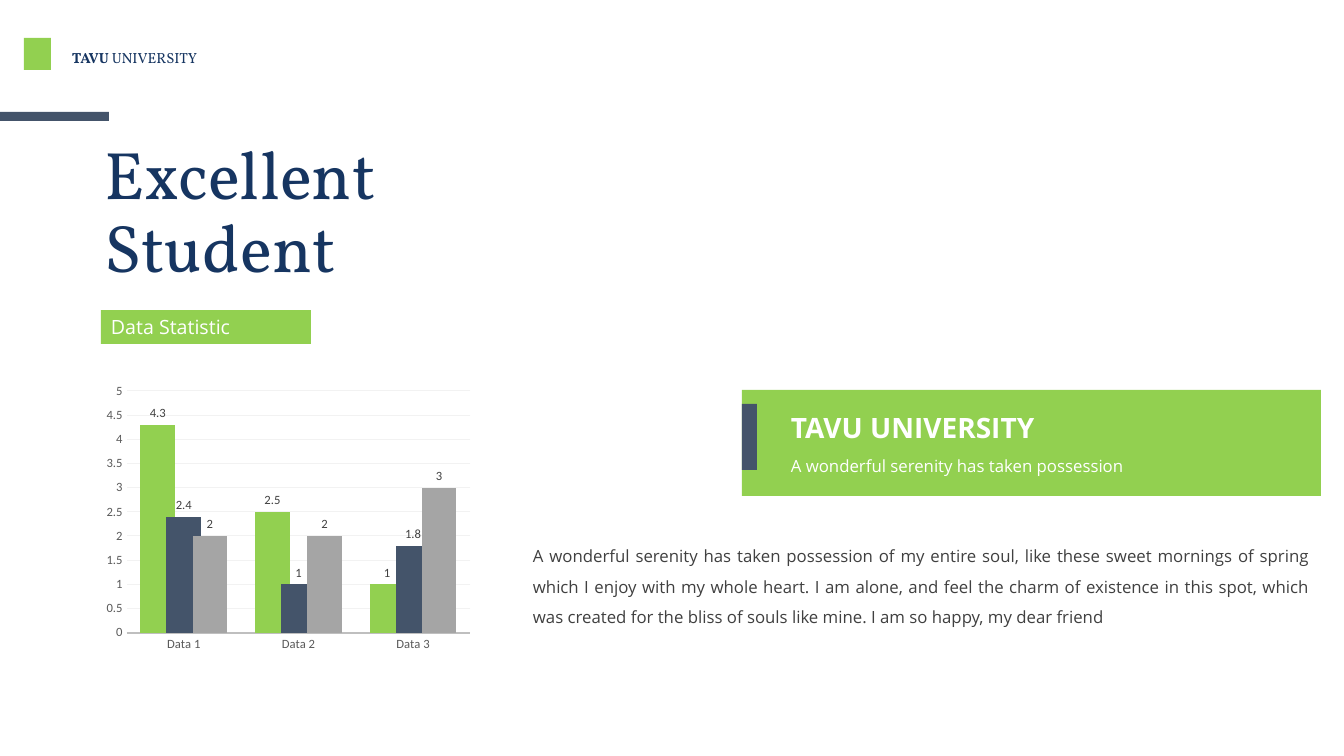
"""Build the Excellent Student statistics slide."""
import pptx
import pptx.chart.data
import pptx.dml.color
import pptx.enum.chart
import pptx.enum.shapes
import pptx.enum.text
import pptx.util

EMU_PER_PX = 914400 / 100.8
GREEN, SLATE, GRAY = "92D050", "44546A", "A5A5A5"
NAVY, WHITE, DARK = "163561", "FFFFFF", "404040"
SERIF, SANS, CHART_FONT = "Vollkorn", "Open Sans", "Calibri"
CATEGORIES = ["Data 1", "Data 2", "Data 3"]
SERIES = [
    ("Series 1", (4.3, 2.5, 1), GREEN),
    ("Series 2", (2.4, 1, 1.8), SLATE),
    ("Series 3", (2, 2, 3), GRAY),
]
SERENITY = (
    "A wonderful serenity has taken possession of my entire soul, like these sweet "
    "mornings of spring which I enjoy with my whole heart. I am alone, and feel the "
    "charm of existence in this spot, which was created for the bliss of souls like "
    "mine. I am so happy, my dear friend"
)


def px(*lengths):
    """Turn pixel lengths into EMU."""
    return [pptx.util.Emu(round(length * EMU_PER_PX)) for length in lengths]


def color(hex_string):
    """Turn a hex string into a colour."""
    return pptx.dml.color.RGBColor.from_string(hex_string)


def style_font(font, name, size, hex_string, bold=False):
    """Set the face, size, colour and weight of a font."""
    font.name = name
    font.size = pptx.util.Pt(size)
    font.color.rgb = color(hex_string)
    font.bold = bold


def write(shape, runs, name, size, hex_string, spacing=1.0, align="LEFT"):
    """Write one paragraph of (text, bold) runs into a shape."""
    frame = shape.text_frame
    frame.word_wrap = True
    frame.auto_size = pptx.enum.text.MSO_AUTO_SIZE.NONE
    paragraph = frame.paragraphs[0]
    paragraph.alignment = pptx.enum.text.PP_ALIGN[align]
    paragraph.line_spacing = spacing
    for text, bold in runs:
        run = paragraph.add_run()
        run.text = text
        style_font(run.font, name, size, hex_string, bold)


def add_title(slide, box, text):
    """Place and fill the title placeholder."""
    title = slide.shapes.title
    title.left, title.top, title.width, title.height = px(*box)
    write(title, [(text, False)], SERIF, 48, NAVY, spacing=0.9)
    title.text_frame.vertical_anchor = pptx.enum.text.MSO_ANCHOR.MIDDLE


def add_text(slide, box, runs, name, size, hex_string, **layout):
    """Add a text box."""
    write(slide.shapes.add_textbox(*px(*box)), runs, name, size, hex_string, **layout)


def add_block(slide, box, hex_string):
    """Add a plain filled rectangle."""
    kind = pptx.enum.shapes.MSO_SHAPE.RECTANGLE
    block = slide.shapes.add_shape(kind, *px(*box))
    block.shadow.inherit = False
    block.fill.solid()
    block.fill.fore_color.rgb = color(hex_string)
    block.line.fill.background()
    return block


def style_axes(chart):
    """Format the category and value axes."""
    for axis in (chart.category_axis, chart.value_axis):
        axis.major_tick_mark = pptx.enum.chart.XL_TICK_MARK.NONE
        axis.minor_tick_mark = pptx.enum.chart.XL_TICK_MARK.NONE
        style_font(axis.tick_labels.font, CHART_FONT, 9, "595959")
    category_line = chart.category_axis.format.line
    category_line.color.rgb = color("BFBFBF")
    category_line.width = pptx.util.Pt(1.25)
    value_axis = chart.value_axis
    value_axis.minimum_scale, value_axis.maximum_scale = 0, 5
    value_axis.major_unit = 0.5
    value_axis.format.line.fill.background()
    grid = value_axis.major_gridlines.format.line
    grid.color.rgb = color("F2F2F2")
    grid.width = pptx.util.Pt(0.75)


def add_column_chart(slide, box):
    """Add the clustered column chart with value labels."""
    data = pptx.chart.data.CategoryChartData()
    data.categories = CATEGORIES
    for name, values, _ in SERIES:
        data.add_series(name, values)
    kind = pptx.enum.chart.XL_CHART_TYPE.COLUMN_CLUSTERED
    chart = slide.shapes.add_chart(kind, *px(*box), data).chart
    style_font(chart.font, CHART_FONT, 9, "000000")
    chart.has_title = False
    chart.has_legend = False
    style_axes(chart)
    plot = chart.plots[0]
    plot.gap_width, plot.overlap = 80, 25
    plot.vary_by_categories = False
    for series, (_, _, hex_string) in zip(plot.series, SERIES):
        series.format.fill.solid()
        series.format.fill.fore_color.rgb = color(hex_string)
        labels = series.data_labels
        labels.show_value = True
        labels.position = pptx.enum.chart.XL_LABEL_POSITION.OUTSIDE_END
        style_font(labels.font, CHART_FONT, 9, DARK)


def main():
    """Build and save the slide."""
    presentation = pptx.Presentation()
    presentation.slide_width, presentation.slide_height = px(1344, 756)
    slide = presentation.slides.add_slide(presentation.slide_layouts[5])
    add_title(slide, (94, 136, 348, 157), "Excellent Student")
    add_block(slide, (0, 112, 109, 9), SLATE)
    add_text(slide, (523, 531, 797, 99), [(SERENITY, False)], SANS, 12, DARK,
             spacing=1.5, align="JUSTIFY")
    add_block(slide, (24, 38, 27, 32), GREEN)
    add_text(slide, (62, 44, 152, 28), [("TAVU ", True), ("UNIVERSITY", False)],
             SERIF, 10.5, NAVY)
    add_block(slide, (742, 390, 579, 106), GREEN)
    add_block(slide, (742, 404, 15, 66), SLATE)
    add_text(slide, (781, 406, 473, 44), [("TAVU UNIVERSITY", True)], SANS, 20, WHITE)
    add_text(slide, (781, 441, 427, 37),
             [("A wonderful serenity has taken possession", False)],
             SANS, 12, WHITE, spacing=1.5)
    add_column_chart(slide, (99, 378, 379, 279))
    label = add_block(slide, (101, 310, 210, 34), GREEN)
    write(label, [("Data Statistic", False)], SANS, 14, WHITE)
    presentation.save("out.pptx")


if __name__ == "__main__":
    main()
